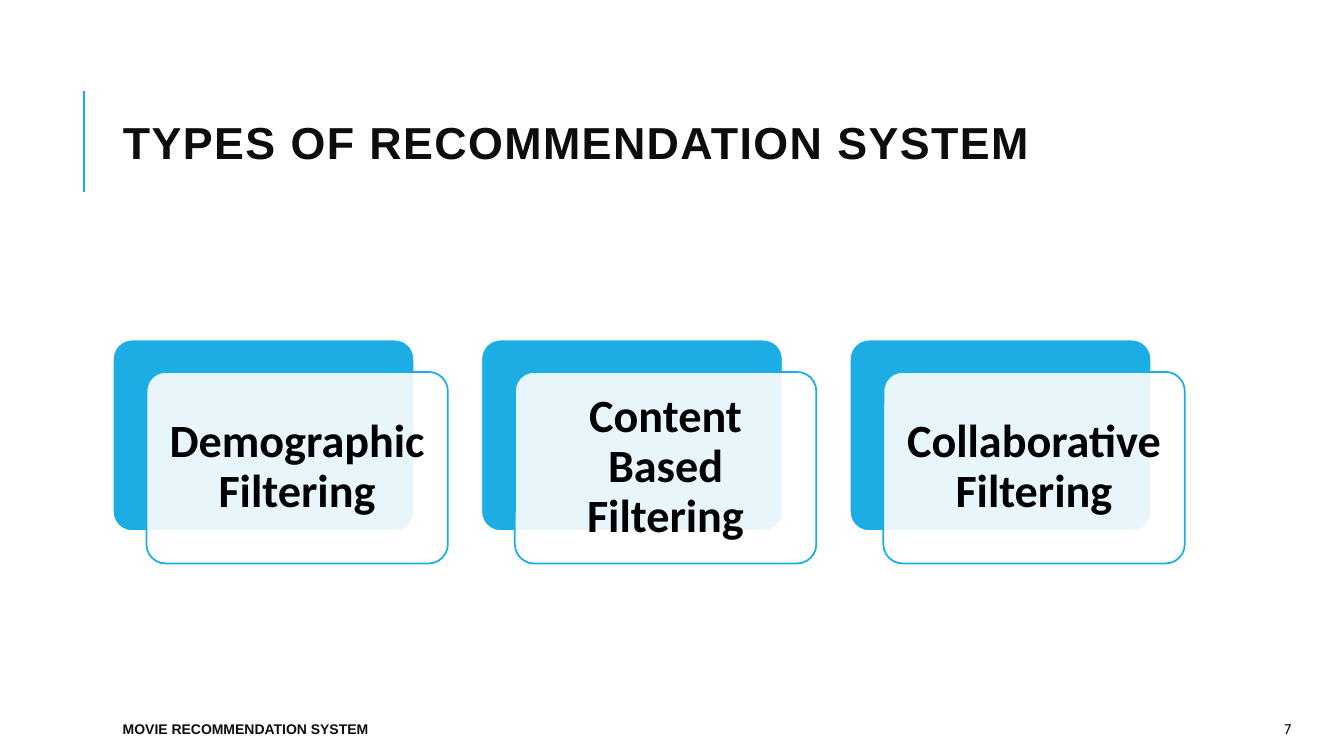
"""Build the slide on the types of recommendation system."""
from lxml.etree import SubElement
from pptx import Presentation
from pptx.dml.color import RGBColor
from pptx.enum.shapes import MSO_CONNECTOR, MSO_SHAPE
from pptx.enum.text import MSO_ANCHOR, MSO_AUTO_SIZE, PP_ALIGN
from pptx.oxml.ns import qn
from pptx.util import Pt

COLORS = {"accent": "1CADE4", "white": "FFFFFF", "ink": "0D0D0D", "black": "000000"}
FILTERS = ["Demographic Filtering", "Content Based Filtering", "Collaborative Filtering"]
LEFT = 80.6
CARD_TOP, CARD_WIDTH, CARD_HEIGHT, CARD_STEP = 242.6, 215.3, 136.8, 263.2
OFFSET_X, OFFSET_Y = 24, 23.1


def rgb(name):
    return RGBColor.from_string(COLORS[name])


def write(frame, text, size, font, color="ink", bold=True, align=PP_ALIGN.LEFT):
    frame.word_wrap = True
    frame.auto_size = MSO_AUTO_SIZE.NONE
    frame.vertical_anchor = MSO_ANCHOR.MIDDLE
    paragraph = frame.paragraphs[0]
    paragraph.text = text
    paragraph.alignment = align
    paragraph.font.size = Pt(size)
    paragraph.font.name = font
    paragraph.font.bold = bold
    paragraph.font.color.rgb = rgb(color)
    return paragraph


def add_title(slide, text):
    title = slide.shapes.title
    title.left, title.top, title.width, title.height = Pt(LEFT), Pt(46), Pt(765.4), Pt(118)
    heading = write(title.text_frame, text, 32, "Arial")
    heading.line_spacing = 0.8
    heading.runs[0]._r.get_or_add_rPr().set("spc", "100")


def add_title_rule(slide):
    rule = slide.shapes.add_connector(
        MSO_CONNECTOR.STRAIGHT, Pt(60), Pt(136.8), Pt(60), Pt(64.8))
    rule.line.color.rgb = rgb("accent")
    rule.line.width = Pt(1.5)
    SubElement(rule._element.spPr, qn("a:effectLst"))


def add_panel(slide, left, top, fill, outline):
    panel = slide.shapes.add_shape(
        MSO_SHAPE.ROUNDED_RECTANGLE, Pt(left), Pt(top), Pt(CARD_WIDTH), Pt(CARD_HEIGHT))
    panel.adjustments[0] = 0.1
    panel.shadow.inherit = False
    panel.fill.solid()
    panel.fill.fore_color.rgb = rgb(fill)
    panel.line.color.rgb = rgb(outline)
    panel.line.width = Pt(1.25)
    return panel


def add_card(slide, left, label):
    add_panel(slide, left, CARD_TOP, "accent", "white")
    front = add_panel(slide, left + OFFSET_X, CARD_TOP + OFFSET_Y, "white", "accent")
    tint = front._element.spPr.find(qn("a:solidFill")).find(qn("a:srgbClr"))
    SubElement(tint, qn("a:alpha"), val="90000")
    frame = front.text_frame
    frame.margin_left = frame.margin_right = Pt(10)
    frame.margin_top = frame.margin_bottom = Pt(10)
    caption = write(frame, label, 33, "Calibri", "black", align=PP_ALIGN.CENTER)
    caption.line_spacing = 0.9


def add_footer(slide, left, width, text, font, bold, align):
    box = slide.shapes.add_textbox(Pt(left), Pt(509.8), Pt(width), Pt(21.6))
    write(box.text_frame, text, 10, font, bold=bold, align=align)


def main():
    deck = Presentation()
    deck.slide_width, deck.slide_height = Pt(960), Pt(540)
    slide = deck.slides.add_slide(deck.slide_layouts[5])
    add_title_rule(slide)
    add_title(slide, "TYPES OF RECOMMENDATION SYSTEM")
    for index, label in enumerate(FILTERS):
        add_card(slide, LEFT + index * CARD_STEP, label)
    add_footer(slide, 853.2, 76.3, "7", "Cabin", False, PP_ALIGN.RIGHT)
    add_footer(slide, LEFT, 464.4, "MOVIE RECOMMENDATION SYSTEM", "Arial", True, PP_ALIGN.LEFT)
    deck.save("out.pptx")


if __name__ == "__main__":
    main()
